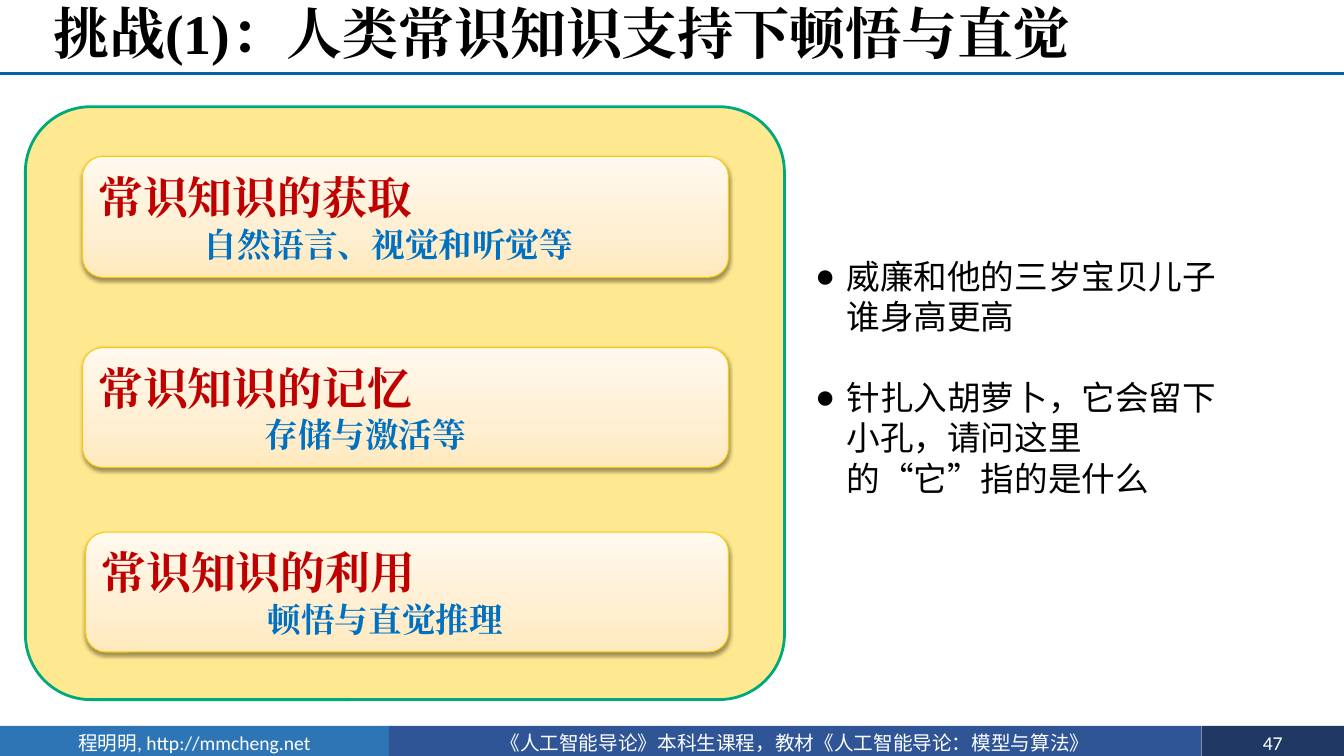
import copy
from dataclasses import dataclass

import pptx
import pptx.dml.color
import pptx.enum.shapes
import pptx.enum.text
import pptx.oxml.ns
import pptx.util
from lxml import etree

Cm = pptx.util.Cm
Pt = pptx.util.Pt
SHAPE = pptx.enum.shapes.MSO_SHAPE
ALIGN = pptx.enum.text.PP_ALIGN
ANCHOR = pptx.enum.text.MSO_ANCHOR
qn = pptx.oxml.ns.qn


@dataclass(frozen=True)
class Theme:
    black: str = "000000"
    white: str = "FFFFFF"
    red: str = "C00000"
    blue: str = "0070C0"
    rule: str = "0062AC"
    panel: str = "FFE990"
    green: str = "00A97C"
    gold: str = "FACB00"
    fade: tuple = ((0, "FFE9BD"), (0.35, "FFEFD1"), (1, "FFF9EE"))
    serif: str = "Times New Roman"
    sans: str = "Noto Sans CJK SC"
    plain: str = "Calibri"
    title: float = 40
    head: float = 32
    body: float = 24
    foot: float = 14
    pitch: float = 28.8


@dataclass(frozen=True)
class Box:
    left: float
    top: float
    width: float
    height: float

    def place(self) -> tuple:
        return Cm(self.left), Cm(self.top), Cm(self.width), Cm(self.height)


@dataclass(frozen=True)
class Card:
    box: Box
    head: str
    note: str
    indent: float


@dataclass(frozen=True)
class Band:
    left: float
    width: float
    fill: str
    text: str


THEME = Theme()
CARDS = (
    Card(Box(2.08, 3.94, 16.28, 3.05), "常识知识的获取", "自然语言、视觉和听觉等", 2.65),
    Card(Box(2.08, 8.76, 16.28, 3.02), "常识知识的记忆", "存储与激活等", 4.19),
    Card(Box(2.16, 13.41, 16.2, 3.02), "常识知识的利用", "顿悟与直觉推理", 4.19),
)
BANDS = (
    Band(0, 9.8, "2E75B6", "程明明, http://mmcheng.net"),
    Band(9.8, 20.48, "2F5597", "《人工智能导论》本科生课程，教材《人工智能导论：模型与算法》"),
    Band(30.28, 3.59, "203864", "47"),
)
ITEMS = (
    "威廉和他的三岁宝贝儿子谁身高更高",
    "针扎入胡萝卜，它会留下小孔，请问这里的“它”指的是什么",
)


def rgb(code: str) -> pptx.dml.color.RGBColor:
    return pptx.dml.color.RGBColor.from_string(code)


def put(frame, text: str, *, size: float, font: str, color: str, bold=False,
        align=ALIGN.LEFT, indent=0.0, hang=0.0, bullet="", line=None, before=0.0) -> None:
    """Add one paragraph in the given format."""
    para = frame.paragraphs[0]
    if para.runs:
        para = frame.add_paragraph()
    props = para._p.get_or_add_pPr()
    props.set("marL", str(Cm(indent)))
    props.set("indent", str(-Cm(hang)))
    if bullet:
        etree.SubElement(props, qn("a:buChar"), char=bullet)
    else:
        etree.SubElement(props, qn("a:buNone"))
    para.alignment = align
    para.space_before = Pt(before)
    if line:
        para.line_spacing = line
    run = para.add_run()
    run.text = text
    run.font.size = Pt(size)
    run.font.bold = bold
    run.font.color.rgb = rgb(color)
    run.font.name = font
    etree.SubElement(run._r.get_or_add_rPr(), qn("a:ea"), typeface=font)


def draw(slide, kind, box: Box, fill="", edge="", weight=0.0):
    """Add a flat shape; an empty fill or edge is left out."""
    shape = slide.shapes.add_shape(kind, *box.place())
    shape.shadow.inherit = False
    if fill:
        shape.fill.solid()
        shape.fill.fore_color.rgb = rgb(fill)
    if edge:
        shape.line.color.rgb = rgb(edge)
        shape.line.width = Pt(weight)
    else:
        shape.line.fill.background()
    return shape


def shade(shape) -> None:
    """Give a card its three-stop fade and soft shadow."""
    shape.fill.gradient()
    shape.fill.gradient_angle = 90
    stops = shape._element.spPr.find(qn("a:gradFill")).find(qn("a:gsLst"))
    stops.insert(1, copy.deepcopy(stops[0]))
    for stop, (place, color) in zip(shape.fill.gradient_stops, THEME.fade):
        stop.position = place
        stop.color.rgb = rgb(color)
    glow = etree.SubElement(
        shape._element.spPr.find(qn("a:effectLst")), qn("a:outerShdw"),
        blurRad=str(Pt(3.1)), dist=str(Pt(1.6)), dir="5400000", rotWithShape="0")
    tint = etree.SubElement(glow, qn("a:srgbClr"), val=THEME.black)
    etree.SubElement(tint, qn("a:alpha"), val="38000")


def add_card(slide, card: Card) -> None:
    shape = draw(slide, SHAPE.ROUNDED_RECTANGLE, card.box, edge=THEME.gold, weight=0.75)
    shade(shape)
    frame = shape.text_frame
    frame.word_wrap = True
    frame.vertical_anchor = ANCHOR.MIDDLE
    frame.margin_top = frame.margin_bottom = 0
    put(frame, card.head, size=THEME.head, font=THEME.serif, color=THEME.red, bold=True)
    put(frame, card.note, size=THEME.body, font=THEME.serif, color=THEME.blue,
        bold=True, indent=card.indent)


def add_band(slide, band: Band) -> None:
    shape = draw(slide, SHAPE.RECTANGLE, Box(band.left, 18.29, band.width, 0.86), band.fill)
    frame = shape.text_frame
    frame.word_wrap = True
    frame.vertical_anchor = ANCHOR.MIDDLE
    frame.margin_top = frame.margin_bottom = 0
    put(frame, band.text, size=THEME.foot, font=THEME.plain, color=THEME.white,
        align=ALIGN.CENTER)


def claim(holder, box: Box, anchor):
    """Move a placeholder and return its text frame."""
    holder.left, holder.top, holder.width, holder.height = box.place()
    frame = holder.text_frame
    frame.word_wrap = True
    frame.auto_size = pptx.enum.text.MSO_AUTO_SIZE.NONE
    frame.vertical_anchor = anchor
    return frame


def main() -> None:
    deck = pptx.Presentation()
    deck.slide_width, deck.slide_height = Cm(33.87), Cm(19.05)
    slide = deck.slides.add_slide(deck.slide_layouts[1])

    # Footer bands
    for band in BANDS:
        add_band(slide, band)

    # Title and rule
    rule = slide.shapes.add_connector(
        pptx.enum.shapes.MSO_CONNECTOR.STRAIGHT, 0, Cm(1.85), deck.slide_width, Cm(1.85))
    rule.line.color.rgb = rgb(THEME.rule)
    rule.line.width = Pt(2)
    etree.SubElement(rule._element.spPr, qn("a:effectLst"))
    frame = claim(slide.shapes.title, Box(1.09, 0, 32.77, 1.85), ANCHOR.MIDDLE)
    put(frame, "挑战(1)：人类常识知识支持下顿悟与直觉", size=THEME.title,
        font=THEME.serif, color=THEME.black, bold=True, line=0.9)

    # Panel with cards
    panel = draw(slide, SHAPE.ROUNDED_RECTANGLE, Box(0.64, 2.69, 19.13, 14.94),
                 THEME.panel, THEME.green, 2)
    panel.adjustments[0] = 0.11
    for card in CARDS:
        add_card(slide, card)

    # Questions
    frame = claim(slide.placeholders[1], Box(20.29, 6.32, 11.28, 6.4), ANCHOR.TOP)
    for rank, item in enumerate(ITEMS):
        put(frame, item, size=THEME.body, font=THEME.sans, color=THEME.black,
            indent=0.79, hang=0.79, bullet="●", line=Pt(THEME.pitch),
            before=THEME.pitch if rank else 0)

    deck.save("out.pptx")


if __name__ == "__main__":
    main()
